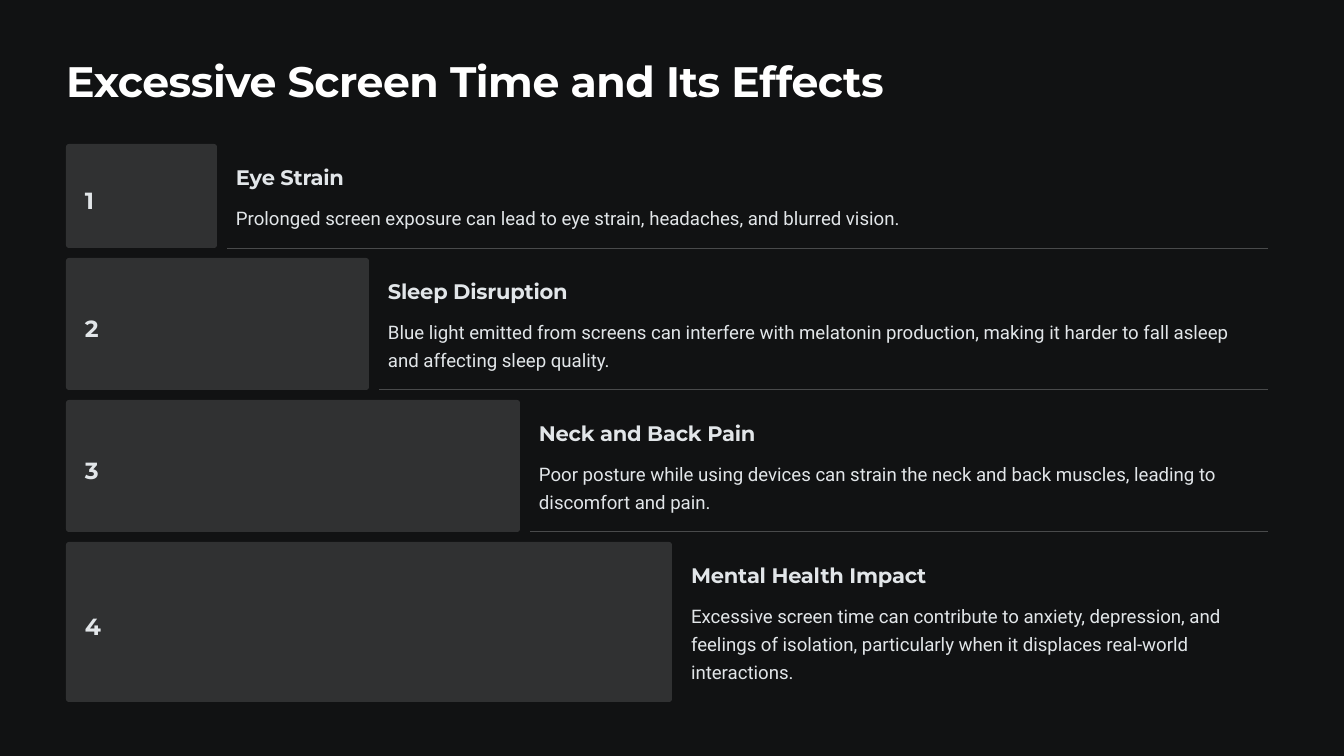
from dataclasses import dataclass

from lxml.etree import SubElement
from pptx import Presentation
from pptx.dml.color import RGBColor
from pptx.enum.shapes import MSO_CONNECTOR as Connector, MSO_SHAPE as Shape
from pptx.enum.text import MSO_ANCHOR as Anchor, MSO_AUTO_SIZE as AutoSize, PP_ALIGN as Align
from pptx.oxml.ns import qn
from pptx.slide import Slide
from pptx.text.text import TextFrame
from pptx.util import Emu, Pt

PX_PER_INCH = 84


@dataclass(frozen=True)
class TextStyle:
    font: str
    size: float
    line: int
    color: RGBColor
    bold: bool = True
    tracking: int = -20


@dataclass(frozen=True)
class Theme:
    background: RGBColor = RGBColor(0x11, 0x12, 0x13)
    bar: RGBColor = RGBColor(0x30, 0x31, 0x32)
    divider: RGBColor = RGBColor(0x49, 0x4A, 0x4B)
    title: TextStyle = TextStyle("Montserrat", 36.5, 46, RGBColor(0xFF, 0xFF, 0xFF), tracking=-40)
    number: TextStyle = TextStyle("Montserrat", 20, 30, RGBColor(0xE2, 0xE6, 0xE9))
    heading: TextStyle = TextStyle("Montserrat", 18, 23, RGBColor(0xE2, 0xE6, 0xE9))
    body: TextStyle = TextStyle("Roboto", 16, 24, RGBColor(0xE2, 0xE6, 0xE9), False, 0)


@dataclass(frozen=True)
class Effect:
    heading: str
    body: str
    lines: int


@dataclass(frozen=True)
class Box:
    left: int
    top: int
    width: int
    height: int

    def emu(self) -> tuple[Emu, Emu, Emu, Emu]:
        return px(self.left), px(self.top), px(self.width), px(self.height)


THEME = Theme()
TITLE = "Excessive Screen Time and Its Effects"
EFFECTS = [
    Effect("Eye Strain",
           "Prolonged screen exposure can lead to eye strain, headaches, and blurred vision.", 1),
    Effect("Sleep Disruption",
           "Blue light emitted from screens can interfere with melatonin production, "
           "making it harder to fall asleep and affecting sleep quality.", 2),
    Effect("Neck and Back Pain",
           "Poor posture while using devices can strain the neck and back muscles, "
           "leading to discomfort and pain.", 2),
    Effect("Mental Health Impact",
           "Excessive screen time can contribute to anxiety, depression, and feelings of "
           "isolation, particularly when it displaces real-world interactions.", 3),
]

LEFT, RIGHT, FIRST_TOP = 66, 1268, 144
WIDEST_BAR, ROW_GAP, CORNER = 606, 10, 3
ROW_PADDING, BODY_LINE = 76, 28
TEXT_GAP, TEXT_RIGHT = 19, 1259


def px(length: int) -> Emu:
    return Emu(round(length * 914400 / PX_PER_INCH))


def write(frame: TextFrame, text: str, style: TextStyle, wrap: bool = False) -> None:
    frame.margin_left = frame.margin_top = frame.margin_right = frame.margin_bottom = 0
    frame.auto_size = AutoSize.NONE
    frame.word_wrap = wrap
    frame.vertical_anchor = Anchor.TOP
    paragraph = frame.paragraphs[0]
    paragraph.alignment = Align.LEFT
    paragraph.line_spacing = Pt(style.line)
    paragraph.space_before = Pt(0)
    run = paragraph.add_run()
    run.text = text
    run.font.name = style.font
    run.font.size = Pt(style.size)
    run.font.bold = style.bold
    run.font.color.rgb = style.color
    run._r.get_or_add_rPr().set("spc", str(style.tracking))


def add_text(slide: Slide, box: Box, text: str, style: TextStyle, wrap: bool = False) -> None:
    write(slide.shapes.add_textbox(*box.emu()).text_frame, text, style, wrap)


def add_title(slide: Slide, box: Box, text: str) -> None:
    title = slide.shapes.title
    title.left, title.top, title.width, title.height = box.emu()
    write(title.text_frame, text, THEME.title)


def add_bar(slide: Slide, box: Box) -> None:
    bar = slide.shapes.add_shape(Shape.ROUNDED_RECTANGLE, *box.emu())
    bar.adjustments[0] = CORNER / min(box.width, box.height)
    bar.shadow.inherit = False
    bar.fill.solid()
    bar.fill.fore_color.rgb = THEME.bar
    bar.line.fill.background()


def add_divider(slide: Slide, left: int, right: int, top: int) -> None:
    divider = slide.shapes.add_connector(
        Connector.STRAIGHT, px(left), px(top), px(right), px(top))
    divider.line.color.rgb = THEME.divider
    divider.line.width = px(1)
    SubElement(divider._element.spPr, qn("a:effectLst"))


def add_effect(slide: Slide, effect: Effect, number: int, top: int) -> int:
    bar = Box(LEFT, top, WIDEST_BAR * number // len(EFFECTS),
              ROW_PADDING + BODY_LINE * effect.lines)
    bar_right, bottom = bar.left + bar.width, bar.top + bar.height
    text_left = bar_right + TEXT_GAP
    add_bar(slide, bar)
    add_text(slide, Box(LEFT + TEXT_GAP, top + bar.height // 2 - 17, 16, 35),
             str(number), THEME.number)
    add_text(slide, Box(text_left, top + 19, 241, 27), effect.heading, THEME.heading)
    add_text(slide, Box(text_left, top + 57, TEXT_RIGHT - text_left, BODY_LINE * effect.lines),
             effect.body, THEME.body, wrap=True)
    if number < len(EFFECTS):
        add_divider(slide, bar_right + ROW_GAP, RIGHT, bottom)
    return bottom + ROW_GAP


def main() -> None:
    presentation = Presentation()
    presentation.slide_width, presentation.slide_height = px(1344), px(756)
    slide = presentation.slides.add_slide(presentation.slide_layouts.get_by_name("Title Only"))
    slide.background.fill.solid()
    slide.background.fill.fore_color.rgb = THEME.background
    add_title(slide, Box(LEFT, 52, 827, 54), TITLE)
    top = FIRST_TOP
    for number, effect in enumerate(EFFECTS, start=1):
        top = add_effect(slide, effect, number, top)
    presentation.save("out.pptx")


if __name__ == "__main__":
    main()
